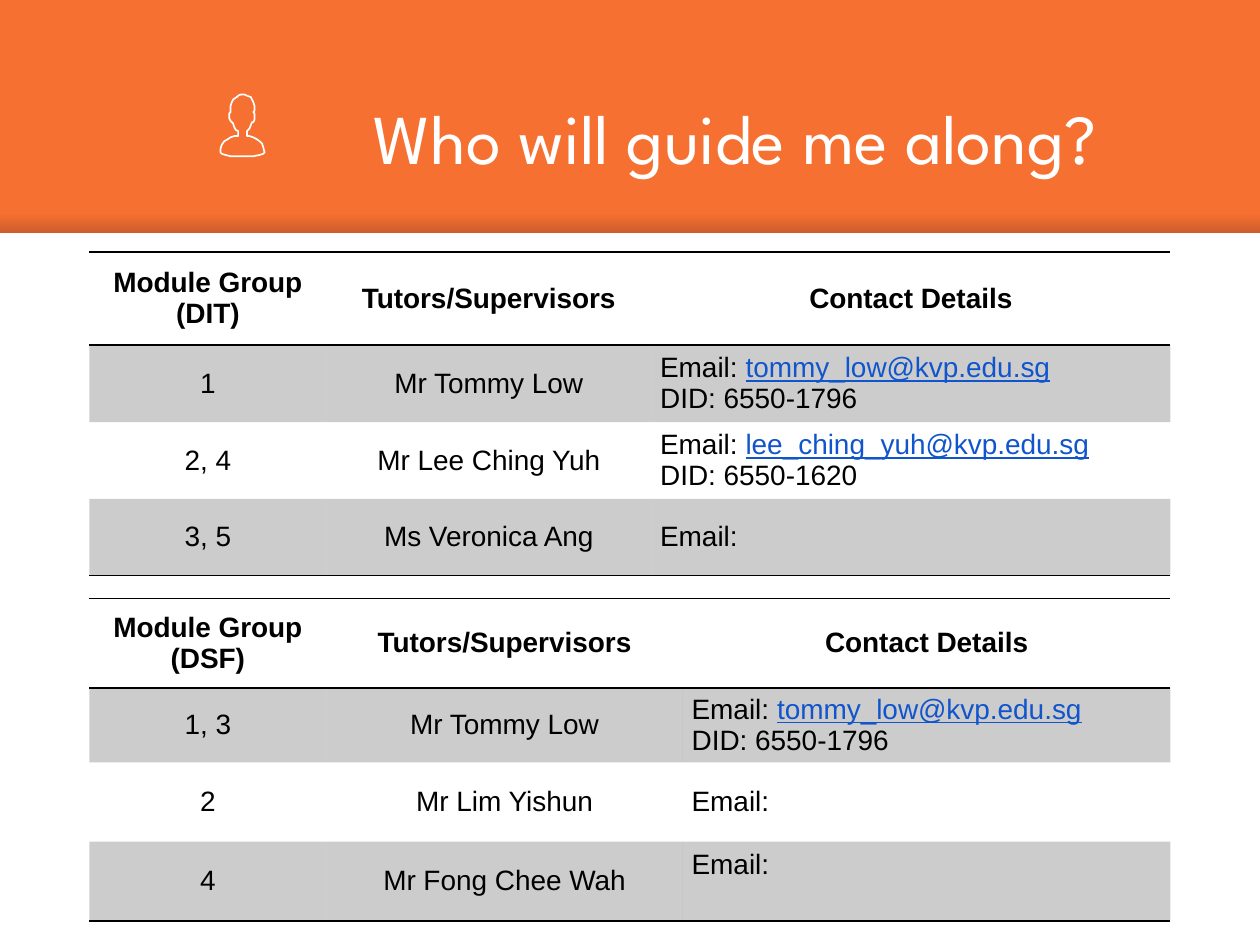
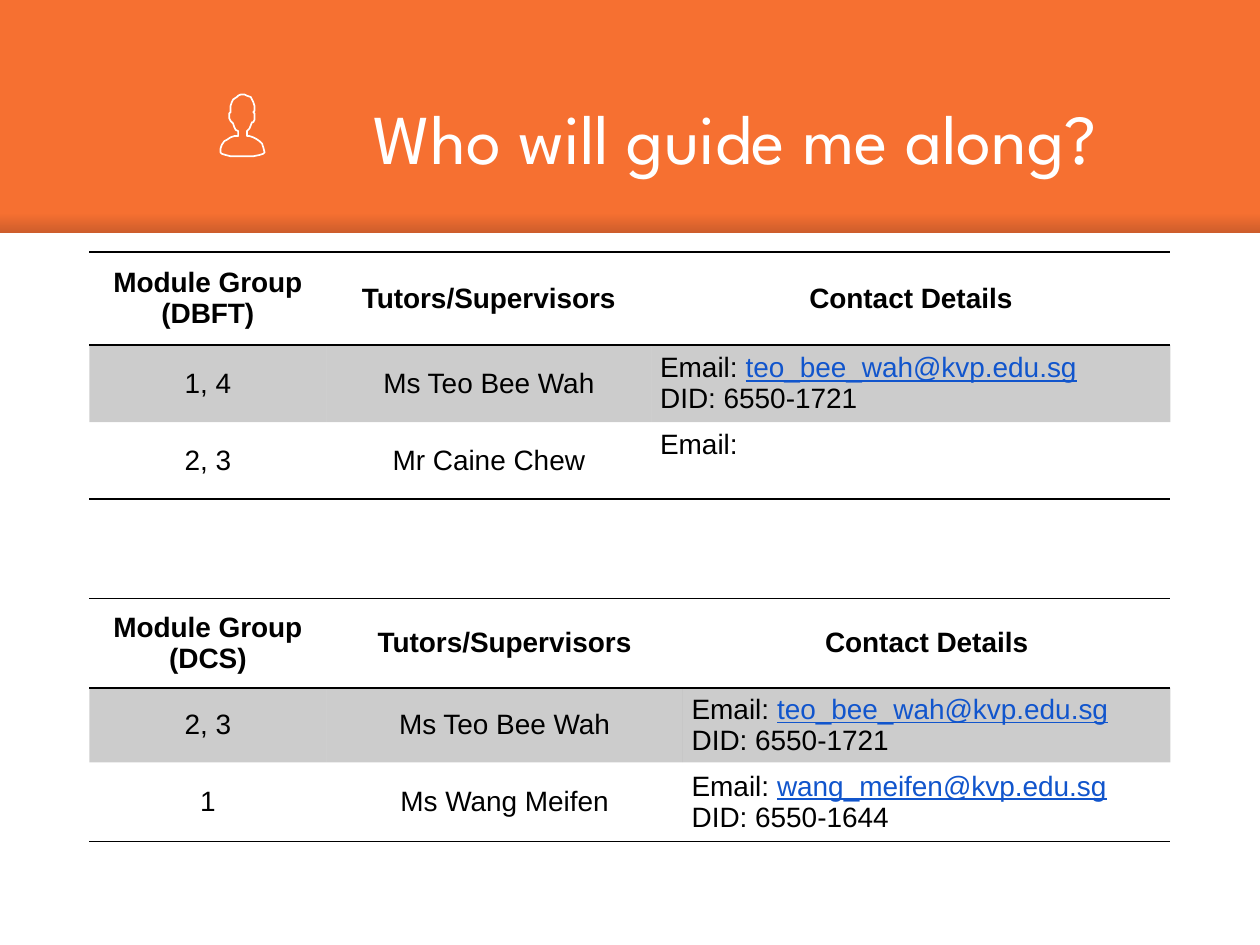
from dataclasses import dataclass

from lxml import etree
from pptx import Presentation
from pptx import util as u
from pptx.dml.color import RGBColor
from pptx.enum import shapes, text
from pptx.oxml import ns


@dataclass(frozen=True)
class Theme:
    orange: RGBColor = RGBColor(0xF6, 0x70, 0x31)
    white: RGBColor = RGBColor(0xFF, 0xFF, 0xFF)
    black: RGBColor = RGBColor(0, 0, 0)
    shade: RGBColor = RGBColor(0, 0, 0x14)
    link: RGBColor = RGBColor(0x11, 0x55, 0xCC)
    title_font: str = "League Spartan"
    table_font: str = "Arial"
    title_size: u.Pt = u.Pt(40)
    table_size: u.Pt = u.Pt(16)
    rule: u.Pt = u.Pt(1)
    icon_line: u.Pt = u.Pt(0.96)
    band_opacity: int = 20


theme = Theme()
TITLE = "Who will guide me along?"
NO_STYLE = "{2D5ABB26-0587-4C30-8999-92F81FD0307C}"
TOP_ALIGNED = {"Mr Fong Chee Wah", "Mr Caine Chew"}

UPPER = dict(top=2, columns=[1.88, 2.58, 4.12], heights=[0.74, 0.61, 0.61, 0.61])
LOWER = dict(top=4.75, columns=[1.88, 2.83, 3.87], heights=[0.71, 0.59, 0.63, 0.63])

GUIDES = [
    [
        (UPPER, "DIT", [
            ("1", "Mr Tommy Low", "tommy_low@kvp.edu.sg", "6550-1796"),
            ("2, 4", "Mr Lee Ching Yuh", "lee_ching_yuh@kvp.edu.sg", "6550-1620"),
            ("3, 5", "Ms Veronica Ang", "", ""),
        ]),
        (LOWER, "DSF", [
            ("1, 3", "Mr Tommy Low", "tommy_low@kvp.edu.sg", "6550-1796"),
            ("2", "Mr Lim Yishun", "", ""),
            ("4", "Mr Fong Chee Wah", "", ""),
        ]),
    ],
    [
        (UPPER, "DBFT", [
            ("1, 4", "Ms Teo Bee Wah", "teo_bee_wah@kvp.edu.sg", "6550-1721"),
            ("2, 3", "Mr Caine Chew", "", ""),
        ]),
        (LOWER, "DCS", [
            ("2, 3", "Ms Teo Bee Wah", "teo_bee_wah@kvp.edu.sg", "6550-1721"),
            ("1", "Ms Wang Meifen", "wang_meifen@kvp.edu.sg", "6550-1644"),
        ]),
    ],
]

PERSON = [
    (196, 108), (196, 104), (198, 102), (200, 97), (201, 97), (202, 95),
    (202, 90), (201, 89), (202, 88), (202, 84), (201, 81), (199, 77),
    (196, 76), (194, 75), (191, 75), (189, 76), (188, 77), (185, 79),
    (184, 81), (183, 84), (183, 89), (182, 90), (182, 94), (183, 96),
    (184, 97), (185, 98), (186, 101), (187, 103), (189, 104), (189, 108),
    (186, 108), (183, 109), (180, 111), (178, 112), (176, 115), (175, 118),
    (175, 121), (176, 122), (179, 123), (183, 124), (192, 124), (201, 124),
    (206, 123), (209, 122), (210, 121), (209, 117), (208, 114), (206, 112),
    (203, 110), (201, 109), (198, 108),
]


def set_opacity(color_element, percent):
    alpha = etree.SubElement(color_element, ns.qn("a:alpha"))
    alpha.set("val", str(percent * 1000))


def add_rule(cell, side):
    line = etree.SubElement(cell._tc.get_or_add_tcPr(), ns.qn(f"a:ln{side}"), w=str(theme.rule))
    fill = etree.SubElement(line, ns.qn("a:solidFill"))
    etree.SubElement(fill, ns.qn("a:srgbClr"), val=str(theme.black))


deck = Presentation()
deck.slide_width, deck.slide_height = u.Inches(10), u.Inches(7.5)
layout = deck.slide_layouts[5]
background = deck.slide_master.background.fill
background.solid()
background.fore_color.rgb = theme.orange

for page_number, guides in enumerate(GUIDES):
    page = deck.slides.add_slide(layout)

    if page_number == 0:
        shadow = page.shapes.add_shape(
            shapes.MSO_SHAPE.RECTANGLE, 0, u.Inches(1.7), u.Inches(10), u.Inches(0.16))
        shadow.fill.gradient()
        shadow.fill.gradient_angle = 270
        for stop, opacity in zip(shadow.fill.gradient_stops, (0, 20)):
            stop.color.rgb = theme.shade
        for color, opacity in zip(shadow.element.spPr.iter(ns.qn("a:srgbClr")), (0, 20)):
            set_opacity(color, opacity)
        panel = page.shapes.add_shape(
            shapes.MSO_SHAPE.RECTANGLE, 0, u.Inches(1.85), u.Inches(10), u.Inches(5.65))
        panel.fill.solid()
        panel.fill.fore_color.rgb = theme.white
        for position, shape in enumerate((shadow, panel), start=2):
            shape.line.fill.background()
            shape.shadow.inherit = False
            layout.shapes.element.insert(position, shape.element)

    title = page.shapes.title
    title.left, title.top = u.Inches(1.71), u.Inches(0.58)
    title.width, title.height = u.Inches(8.25), u.Inches(1)
    frame = title.text_frame
    frame.text = TITLE
    frame.auto_size = text.MSO_AUTO_SIZE.NONE
    frame.vertical_anchor = text.MSO_ANCHOR.MIDDLE
    frame.margin_left = frame.margin_right = u.Inches(0.1)
    frame.margin_top = frame.margin_bottom = u.Inches(0.1)
    para = frame.paragraphs[0]
    para.alignment = text.PP_ALIGN.CENTER
    font = para.runs[0].font
    font.name, font.size = theme.title_font, theme.title_size
    font.color.rgb = theme.white

    builder = page.shapes.build_freeform(*PERSON[0], scale=u.Inches(0.01))
    builder.add_line_segments(PERSON[1:], close=True)
    person = builder.convert_to_shape()
    person.fill.background()
    person.line.color.rgb = theme.white
    person.line.width = theme.icon_line
    person.shadow.inherit = False

    for place, course, tutors in guides:
        heights = place["heights"][:len(tutors) + 1]
        holder = page.shapes.add_table(
            len(heights), 3, u.Inches(0.71), u.Inches(place["top"]),
            u.Inches(sum(place["columns"])), u.Inches(sum(heights)))
        table = holder.table
        table.first_row = table.horz_banding = False
        holder.element.find(".//" + ns.qn("a:tableStyleId")).text = NO_STYLE
        for column, width in zip(table.columns, place["columns"]):
            column.width = u.Inches(width)
        for row, height in zip(table.rows, heights):
            row.height = u.Inches(height)

        rows = [(f"Module Group\n({course})", "Tutors/Supervisors", "Contact Details")]
        for group, tutor, email, phone in tutors:
            rows.append((group, tutor, f"Email: \nDID: {phone}" if email else "Email:"))

        for row_number, values in enumerate(rows):
            for column_number, value in enumerate(values):
                cell = table.cell(row_number, column_number)
                cell.text_frame.text = value
                cell.vertical_anchor = text.MSO_ANCHOR.MIDDLE
                cell.margin_left = cell.margin_right = u.Inches(0.07)
                cell.margin_top = cell.margin_bottom = 0
                is_contact = row_number > 0 and column_number == 2
                if is_contact and values[1] in TOP_ALIGNED:
                    cell.vertical_anchor = text.MSO_ANCHOR.TOP
                    cell.margin_top = u.Inches(0.06)

                if row_number == 0:
                    add_rule(cell, "T")
                if row_number in (0, len(rows) - 1):
                    add_rule(cell, "B")
                if row_number % 2:
                    cell.fill.solid()
                    cell.fill.fore_color.rgb = theme.black
                    color = cell._tc.tcPr.find(ns.qn("a:solidFill") + "/" + ns.qn("a:srgbClr"))
                    set_opacity(color, theme.band_opacity)
                else:
                    cell.fill.background()

                email = tutors[row_number - 1][2] if is_contact else ""
                if email:
                    cell.text_frame.paragraphs[0].add_run().text = email
                for para in cell.text_frame.paragraphs:
                    para.alignment = text.PP_ALIGN.LEFT if is_contact else text.PP_ALIGN.CENTER
                    for span in para.runs:
                        is_link = bool(email) and span.text == email
                        span.font.name, span.font.size = theme.table_font, theme.table_size
                        span.font.bold = row_number == 0
                        span.font.underline = is_link
                        span.font.color.rgb = theme.link if is_link else theme.black

deck.save("out.pptx")
